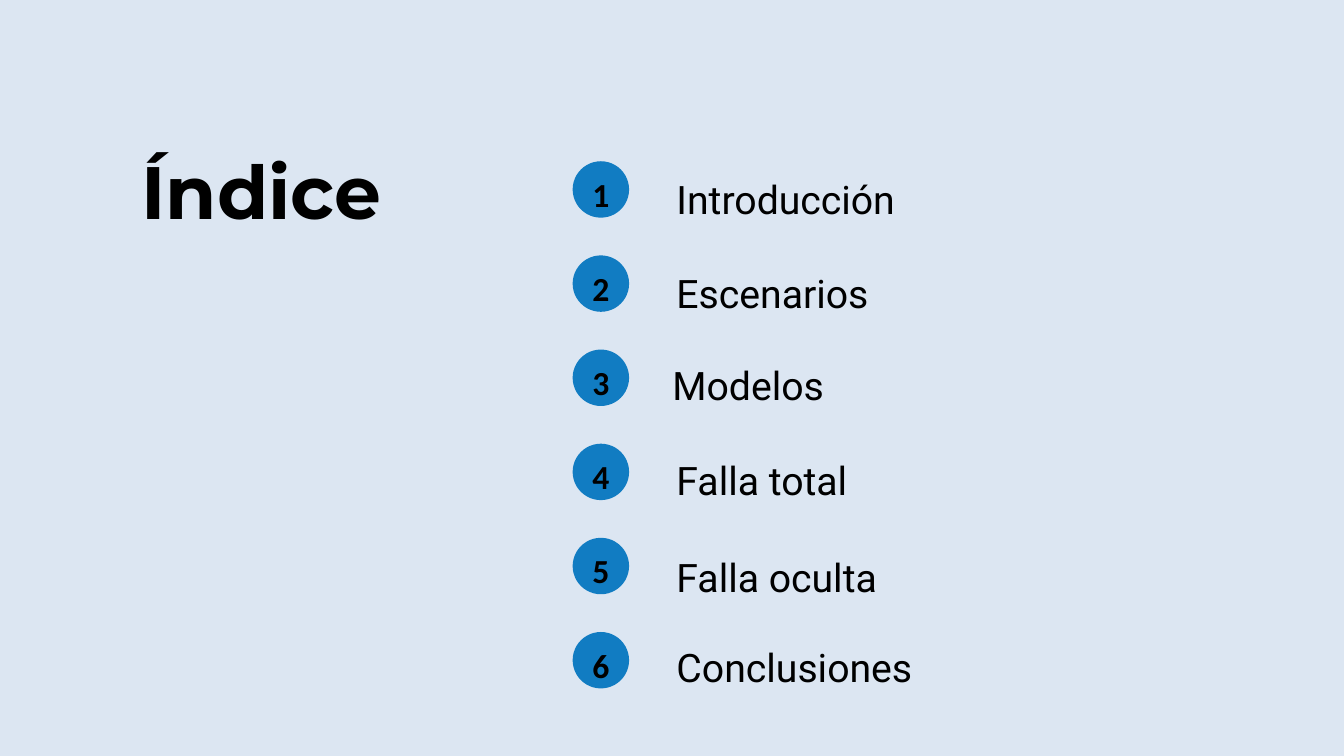
from pptx import Presentation
from pptx.dml.color import RGBColor
from pptx.enum import shapes, text
from pptx.util import Inches, Pt

BACKGROUND, BLUE, BLACK = "DCE6F2", "117CC2", "000000"
FIRST_TOP, LAST_TOP = 1.6, 6.27
DISC_LEFT, DISC_SIZE = 5.68, 0.56

# Wording, left and top of each entry
ENTRIES = [
    ("Introducción", 6.71, 1.43),
    ("Escenarios", 6.71, 2.36),
    ("Modelos", 6.67, 3.27),
    ("Falla total", 6.71, 4.22),
    ("Falla oculta", 6.71, 5.18),
    ("Conclusiones", 6.71, 6.07),
]

TITLE_FONT = {"name": "Montserrat", "size": Pt(53), "bold": True}
NUMBER_FONT = {"name": "Calibri", "size": Pt(24), "bold": True}
ENTRY_FONT = {"name": "Roboto", "size": Pt(28), "bold": False}


def paint(fill, color):
    fill.solid()
    fill.fore_color.rgb = RGBColor.from_string(color)


def write(box, wording, font, spacing, align=text.PP_ALIGN.LEFT):
    frame = box.text_frame
    frame_format = {
        "margin_left": 0, "margin_top": 0, "margin_right": 0, "margin_bottom": 0,
        "word_wrap": True, "auto_size": text.MSO_AUTO_SIZE.NONE,
        "vertical_anchor": text.MSO_ANCHOR.TOP,
    }
    for name, value in frame_format.items():
        setattr(frame, name, value)
    para = frame.paragraphs[0]
    para.alignment = align
    para.line_spacing = Pt(spacing)
    para.space_before = Pt(0)
    span = para.add_run()
    span.text = wording
    for name, value in font.items():
        setattr(span.font, name, value)
    span.font.color.rgb = RGBColor.from_string(BLACK)


def add_title(page, wording):
    title = page.shapes.title
    place = {"left": 1.4, "top": 1.44, "width": 3.1, "height": 0.9}
    for name, value in place.items():
        setattr(title, name, Inches(value))
    write(title, wording, TITLE_FONT, 63.6)


def add_disc(page, top):
    disc = page.shapes.add_shape(
        shapes.MSO_SHAPE.OVAL, Inches(DISC_LEFT), Inches(top),
        Inches(DISC_SIZE), Inches(DISC_SIZE))
    disc.shadow.inherit = False
    paint(disc.fill, BLUE)
    disc.line.fill.background()


def add_text(page, place, *wording_and_format):
    box = page.shapes.add_textbox(*map(Inches, place))
    write(box, *wording_and_format)


def main():
    deck = Presentation()
    deck.slide_width, deck.slide_height = Inches(13.33), Inches(7.5)
    page = deck.slides.add_slide(deck.slide_layouts[5])
    paint(page.background.fill, BACKGROUND)
    add_title(page, "Índice")

    # Numbered discs at equal steps, each with its entry
    step = (LAST_TOP - FIRST_TOP) / (len(ENTRIES) - 1)
    for index, (wording, left, entry_top) in enumerate(ENTRIES):
        top = FIRST_TOP + index * step
        add_disc(page, top)
        add_text(page, (DISC_LEFT + 0.08, top, 0.4, 0.49),
                 str(index + 1), NUMBER_FONT, 37.7, text.PP_ALIGN.CENTER)
        add_text(page, (left, entry_top, 5.34, 0.69), wording, ENTRY_FONT, 56)

    deck.save("out.pptx")


if __name__ == "__main__":
    main()
